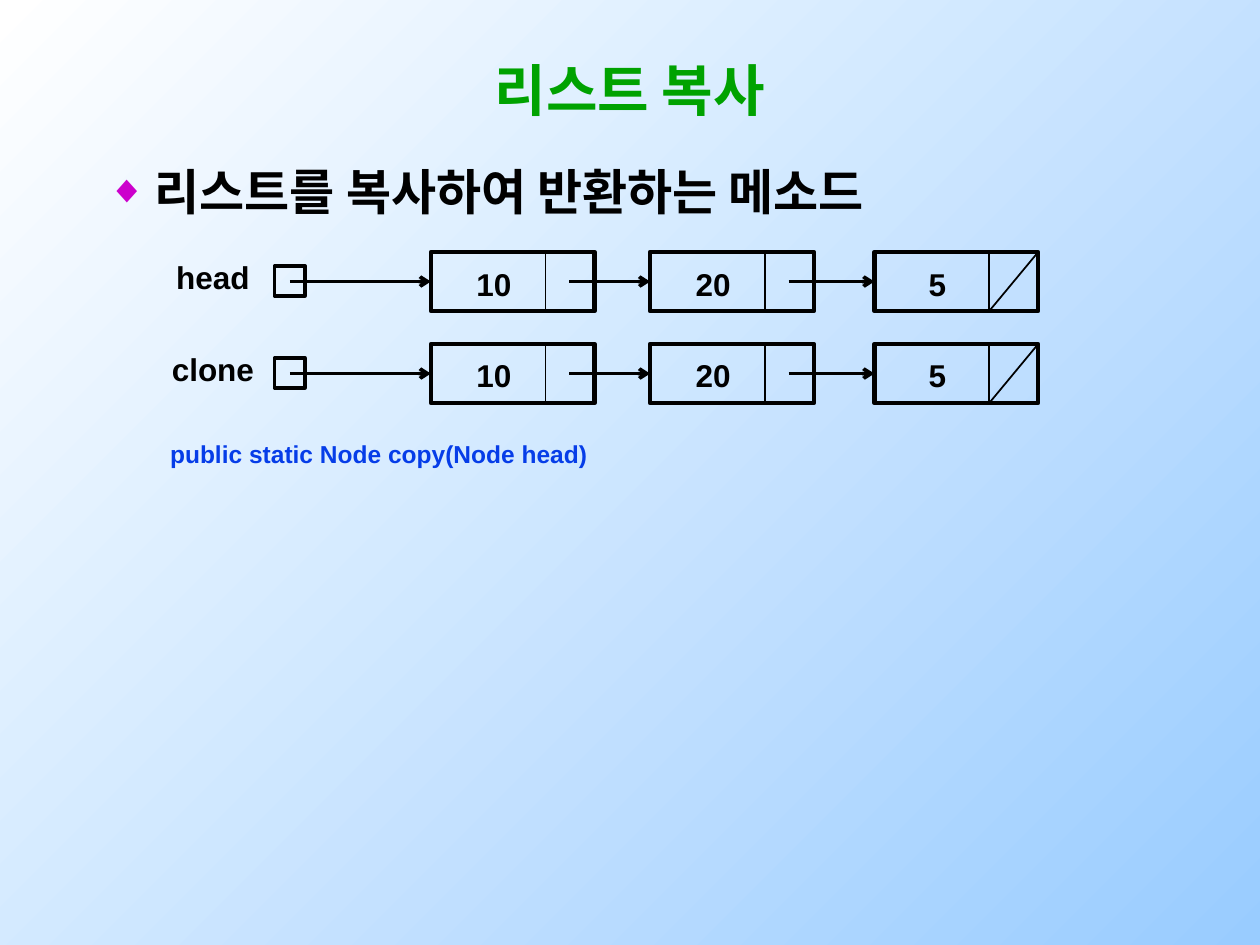
import pptx
import pptx.dml.color
import pptx.enum.shapes
import pptx.enum.text
import pptx.oxml.ns
import pptx.util
from lxml import etree
from pptx.util import Inches

COLORS = {
    "title": "00A200",
    "text": "000000",
    "bullet": "CC00CC",
    "code": "063DE8",
    "background_start": "FFFFFF",
    "background_end": "99CCFF",
}
FONT = "Arial"
ROWS = [("head", 2.0), ("clone", 2.73)]
NODES = [("10", 3.42), ("20", 5.16), ("5", 6.94)]
NODE_WIDTH, NODE_HEIGHT = 1.3, 0.47
DIVIDER_OFFSET = 0.91
POINTER_OFFSET = 1.1


def rgb(name):
    return pptx.dml.color.RGBColor.from_string(COLORS[name])


def add_xml(parent, tag, **attributes):
    return etree.SubElement(parent, pptx.oxml.ns.qn(tag), **attributes)


def format_paragraph(paragraph, size, color):
    font = paragraph.font
    font.name, font.size, font.bold = FONT, pptx.util.Pt(size), True
    font.color.rgb = rgb(color)


def set_background(slide):
    fill = slide.background.fill
    fill.gradient()
    fill.gradient_angle = 315
    for stop, name in zip(fill.gradient_stops, ("background_start", "background_end")):
        stop.color.rgb = rgb(name)


def place(shape, left, top, width, height):
    shape.left, shape.top = Inches(left), Inches(top)
    shape.width, shape.height = Inches(width), Inches(height)


def fill_title(slide, text):
    title = slide.shapes.title
    place(title, 0.75, 0.33, 8.5, 0.75)
    title.text_frame.auto_size = pptx.enum.text.MSO_AUTO_SIZE.NONE
    title.text_frame.vertical_anchor = pptx.enum.text.MSO_ANCHOR.MIDDLE
    paragraph = title.text_frame.paragraphs[0]
    paragraph.text = text
    paragraph.alignment = pptx.enum.text.PP_ALIGN.CENTER
    format_paragraph(paragraph, 32, "title")


def set_indent(paragraph, margin, indent):
    properties = paragraph._p.get_or_add_pPr()
    properties.set("marL", str(Inches(margin)))
    properties.set("indent", str(Inches(indent)))
    return properties


def fill_body(slide, heading, code):
    body = slide.placeholders[1]
    place(body, 0.75, 1.23, 8.58, 6)
    frame = body.text_frame
    frame.auto_size = pptx.enum.text.MSO_AUTO_SIZE.NONE

    paragraph = frame.paragraphs[0]
    paragraph.text = heading
    properties = set_indent(paragraph, 0.38, -0.38)
    bullet_color = add_xml(properties, "a:buClr")
    add_xml(bullet_color, "a:srgbClr", val=COLORS["bullet"])
    add_xml(properties, "a:buSzPct", val="80000")
    add_xml(properties, "a:buChar", char="◆")
    paragraph.space_before = pptx.util.Pt(0)
    format_paragraph(paragraph, 28, "text")

    paragraph = frame.add_paragraph()
    paragraph.text = code
    paragraph.level = 1
    add_xml(set_indent(paragraph, 0.81, -0.31), "a:buNone")
    paragraph.space_before = pptx.util.Pt(125)
    format_paragraph(paragraph, 14, "code")


def add_label(slide, text, left, top, width, height):
    box = slide.shapes.add_textbox(
        Inches(left), Inches(top), Inches(width), Inches(height))
    box.text_frame.word_wrap = True
    paragraph = box.text_frame.paragraphs[0]
    paragraph.text = text
    paragraph.alignment = pptx.enum.text.PP_ALIGN.CENTER
    format_paragraph(paragraph, 18, "text")


def add_box(slide, left, top, width, height, weight):
    box = slide.shapes.add_shape(
        pptx.enum.shapes.MSO_SHAPE.RECTANGLE,
        Inches(left), Inches(top), Inches(width), Inches(height))
    box.shadow.inherit = False
    box.fill.background()
    box.line.color.rgb = rgb("text")
    box.line.width = pptx.util.Pt(weight)
    return box


def add_line(slide, start, end, weight):
    line = slide.shapes.add_connector(
        pptx.enum.shapes.MSO_CONNECTOR.STRAIGHT,
        *(Inches(value) for value in (*start, *end)))
    line.line.color.rgb = rgb("text")
    line.line.width = pptx.util.Pt(weight)
    add_xml(line._element.spPr, "a:effectLst")
    return line


def add_pointer(slide, left, node):
    """Draw an arrow from inside a cell to the left side of a node."""
    middle = (node.top + node.height / 2) / Inches(1)
    arrow = add_line(slide, (left, middle), (node.left / Inches(1), middle), 2)
    arrow.end_connect(node, 1)
    add_xml(arrow.line._get_or_add_ln(), "a:tailEnd", type="arrow")


def add_node(slide, value, left, top):
    node = add_box(slide, left, top, NODE_WIDTH, NODE_HEIGHT, 2.5)
    divider = left + DIVIDER_OFFSET
    add_line(slide, (divider, top), (divider, top + NODE_HEIGHT), 1)
    add_label(slide, value, left + 0.12, top + 0.05, 0.76, 0.32)
    return node


def add_linked_list(slide, name, top):
    add_label(slide, name, 1.14, top, 1.1, 0.35)
    add_box(slide, 2.18, top + 0.11, 0.24, 0.24, 2)
    pointer_left = 2.3
    for value, left in NODES:
        node = add_node(slide, value, left, top)
        add_pointer(slide, pointer_left, node)
        pointer_left = left + POINTER_OFFSET
    # A slash through the last link cell marks the end of the list.
    add_line(slide, (left + NODE_WIDTH, top),
             (left + DIVIDER_OFFSET, top + NODE_HEIGHT), 1)


def main():
    presentation = pptx.Presentation()
    presentation.slide_width, presentation.slide_height = Inches(10), Inches(7.5)
    slide = presentation.slides.add_slide(presentation.slide_layouts[1])
    set_background(slide)
    fill_title(slide, "리스트 복사")
    fill_body(slide, "리스트를 복사하여 반환하는 메소드",
              "public static Node copy(Node head)")
    for name, top in ROWS:
        add_linked_list(slide, name, top)
    presentation.save("out.pptx")


if __name__ == "__main__":
    main()
